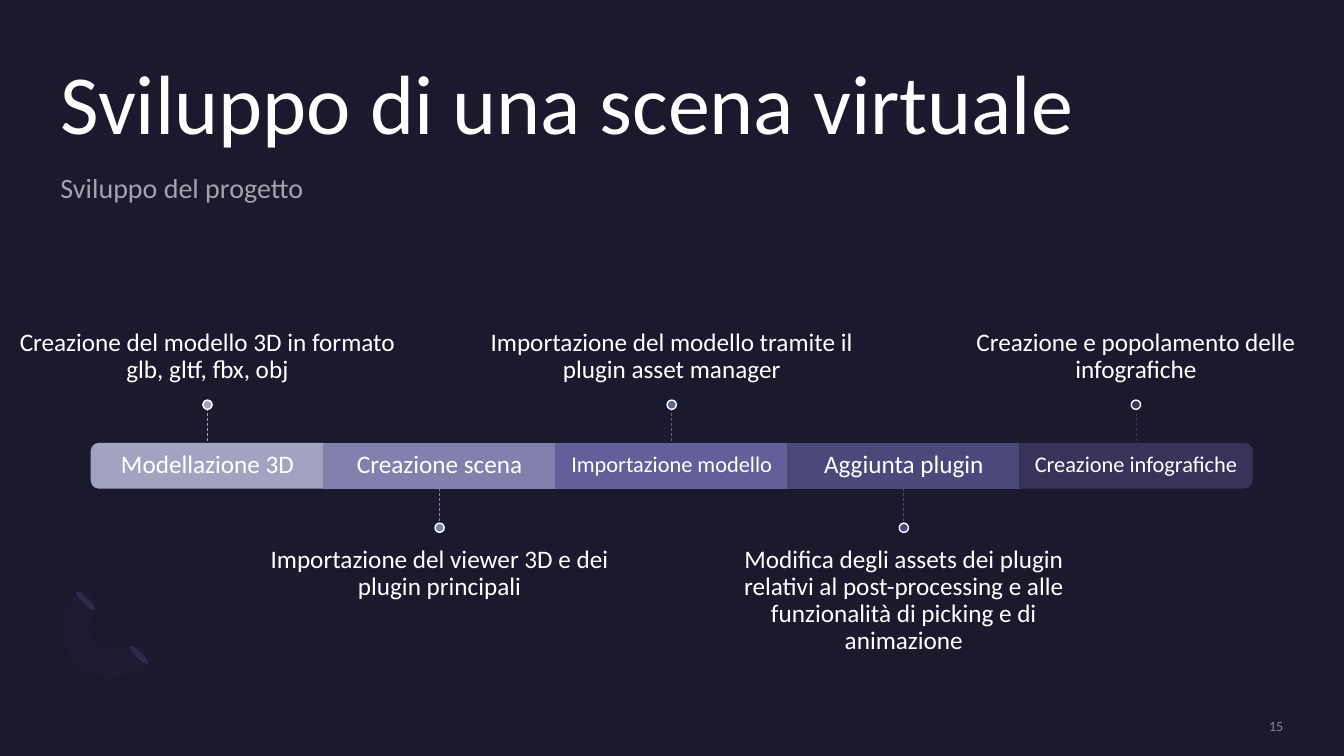
from dataclasses import dataclass

from lxml.etree import SubElement
from pptx import Presentation
from pptx.dml.color import RGBColor
from pptx.enum.dml import MSO_LINE
from pptx.enum.shapes import MSO_CONNECTOR, MSO_SHAPE
from pptx.enum.text import MSO_ANCHOR, PP_ALIGN
from pptx.oxml.ns import qn
from pptx.util import Pt

FONT = "Calibri"
WHITE = "FFFFFF"
BAR_LEFT, BAR_TOP, BAR_HEIGHT = 65.3, 316.8, 31.7
BAR_BOTTOM = BAR_TOP + BAR_HEIGHT
STEP_WIDTH = 165.8
STEM = 25.2
DOT = 6.6
NOTE_WIDTH, NOTE_HEIGHT = 276.5, 109.4
NOTE_TOP_ABOVE, NOTE_TOP_BELOW = 175.7, 379.4


@dataclass(frozen=True)
class Step:
    label: str
    note: str
    color: str
    label_size: int = 18
    rotation: int = 0


STEPS = [
    Step("Modellazione 3D", "Creazione del modello 3D in formato glb, gltf, fbx, obj",
         "A3A3C1", rotation=270),
    Step("Creazione scena", "Importazione del viewer 3D e dei plugin principali", "8281AE"),
    Step("Importazione modello", "Importazione del modello tramite il plugin asset manager",
         "625F9A", label_size=16),
    Step("Aggiunta plugin",
         "Modifica degli assets dei plugin relativi al post-processing e alle "
         "funzionalità di picking e di animazione", "4C487B"),
    Step("Creazione infografiche", "Creazione e popolamento delle infografiche",
         "37335B", label_size=16, rotation=90),
]


def paint(fill, color: str, opacity: int = 100) -> None:
    """Give a fill a solid colour with an opacity in percent."""
    fill.solid()
    fill.fore_color.rgb = RGBColor.from_string(color)
    if opacity < 100:
        srgb = next(fill._xPr.iter(qn("a:srgbClr")))
        SubElement(srgb, qn("a:alpha"), val=str(opacity * 1000))


def add_text(slide, text: str, left: float, top: float, width: float, height: float,
             size: int, align=PP_ALIGN.LEFT, anchor=MSO_ANCHOR.TOP,
             insets=(0, 0, 0, 0), spacing: float = 0.9, after: float = 0,
             color: str = WHITE, opacity: int = 100) -> None:
    box = slide.shapes.add_textbox(Pt(left), Pt(top), Pt(width), Pt(height))
    frame = box.text_frame
    paragraph = frame.paragraphs[0]
    run = paragraph.add_run()
    sides = ("margin_left", "margin_top", "margin_right", "margin_bottom")
    formats = [
        (frame, {"word_wrap": True, "vertical_anchor": anchor,
                 **{side: Pt(inset) for side, inset in zip(sides, insets)}}),
        (paragraph, {"alignment": align, "line_spacing": spacing, "space_after": Pt(after)}),
        (run, {"text": text}),
        (run.font, {"name": FONT, "size": Pt(size)}),
    ]
    for target, values in formats:
        for name, value in values.items():
            setattr(target, name, value)
    paint(run.font.fill, color, opacity)


def add_figure(slide, kind, left: float, top: float, width: float, height: float,
               color: str, outline: str = "", rotation: int = 0):
    figure = slide.shapes.add_shape(kind, Pt(left), Pt(top), Pt(width), Pt(height))
    figure.shadow.inherit = False
    figure.rotation = rotation
    paint(figure.fill, color)
    if outline:
        paint(figure.line.fill, outline)
        figure.line.width = Pt(1)
    else:
        figure.line.fill.background()
    return figure


def add_bar(slide, step: Step, left: float):
    """Draw one segment; the end segments are turned so their round corners face out."""
    if not step.rotation:
        return add_figure(slide, MSO_SHAPE.RECTANGLE, left, BAR_TOP, STEP_WIDTH, BAR_HEIGHT,
                          step.color, step.color)
    shift = (STEP_WIDTH - BAR_HEIGHT) / 2
    return add_figure(slide, MSO_SHAPE.ROUND_2_SAME_RECTANGLE, left + shift, BAR_TOP - shift,
                      BAR_HEIGHT, STEP_WIDTH, step.color, step.color, step.rotation)


def add_stem(slide, step: Step, bar, center: float, above: bool) -> None:
    top = BAR_TOP - STEM if above else BAR_BOTTOM
    stem = slide.shapes.add_connector(
        MSO_CONNECTOR.STRAIGHT, Pt(center), Pt(top), Pt(center), Pt(top + STEM))
    if not step.rotation:
        if above:
            stem.end_connect(bar, 0)
        else:
            stem.begin_connect(bar, 2)
    paint(stem.line.fill, step.color)
    stem.line.width = Pt(0.5)
    stem.line.dash_style = MSO_LINE.DASH
    SubElement(stem._element.spPr, qn("a:effectLst"))


def add_step(slide, step: Step, index: int) -> None:
    left = BAR_LEFT + index * STEP_WIDTH
    center = left + STEP_WIDTH / 2
    above = index % 2 == 0
    inset = step.label_size * 0.6
    bar = add_bar(slide, step, left)
    add_text(slide, step.label, left, BAR_TOP, STEP_WIDTH, BAR_HEIGHT, step.label_size,
             PP_ALIGN.CENTER, MSO_ANCHOR.MIDDLE, (inset,) * 4)
    add_text(slide, step.note, center - NOTE_WIDTH / 2,
             NOTE_TOP_ABOVE if above else NOTE_TOP_BELOW, NOTE_WIDTH, NOTE_HEIGHT, 18,
             PP_ALIGN.CENTER, MSO_ANCHOR.BOTTOM if above else MSO_ANCHOR.TOP,
             (0, 0, 0, 10.8) if above else (0, 10.8, 0, 0))
    add_stem(slide, step, bar, center, above)
    dot_top = BAR_TOP - STEM - DOT + 0.8 if above else BAR_BOTTOM + STEM
    add_figure(slide, MSO_SHAPE.OVAL, center - DOT / 2, dot_top, DOT, DOT, step.color, WHITE)


def curve(start, first, second, end, pieces: int = 12) -> list[tuple[float, float]]:
    """Return points along a cubic Bezier curve, without its start."""
    points = []
    for piece in range(1, pieces + 1):
        t = piece / pieces
        weights = ((1 - t) ** 3, 3 * t * (1 - t) ** 2, 3 * t * t * (1 - t), t ** 3)
        x, y = (sum(w * c for w, c in zip(weights, axis))
                for axis in zip(start, first, second, end))
        points.append((x, y))
    return points


def add_ornament(slide) -> None:
    for left, top in ((97.2, 458.6), (59, 419.8)):
        add_figure(slide, MSO_SHAPE.OVAL, left, top, 4.3, 18.7, "2C284A", rotation=135)
    start, inner_start = (54.7, 474.5), (71.3, 432)
    outer_end, inner_mid = (58.3, 419), (69.1, 459.4)
    inner_end, outer_start = (97.2, 457.9), (109.4, 470.9)
    outline = [
        *curve(start, (40.3, 460.1), (41.8, 435.6), outer_end), inner_start,
        *curve(inner_start, (62.6, 439.9), (61.9, 452.9), inner_mid),
        *curve(inner_mid, (76.3, 466.6), (88.6, 465.8), inner_end), outer_start,
        *curve(outer_start, (93.6, 486.7), (68.4, 488.9), start),
    ]
    builder = slide.shapes.build_freeform(*start, scale=float(Pt(1)))
    builder.add_line_segments(outline, close=True)
    ring = builder.convert_to_shape()
    ring.shadow.inherit = False
    paint(ring.fill, "7771B2", 3)
    ring.line.fill.background()


def main() -> None:
    deck = Presentation()
    deck.slide_width, deck.slide_height = Pt(960), Pt(540)
    slide = deck.slides.add_slide(deck.slide_layouts[6])
    paint(slide.background.fill, "1B192E")
    add_ornament(slide)
    for index, step in enumerate(STEPS):
        add_step(slide, step, index)
    add_text(slide, "15", 783.4, 512.6, 133.2, 12.2, 10, PP_ALIGN.RIGHT, MSO_ANCHOR.MIDDLE,
             spacing=1.0, color="A6A6A6", opacity=80)
    add_text(slide, "Sviluppo di una scena virtuale", 43.2, 43.2, 859.7, 65.5, 60,
             anchor=MSO_ANCHOR.BOTTOM)
    add_text(slide, "Sviluppo del progetto", 43.2, 119.5, 355.7, 33.1, 20,
             spacing=1.1, after=8, opacity=60)
    deck.save("out.pptx")


if __name__ == "__main__":
    main()
